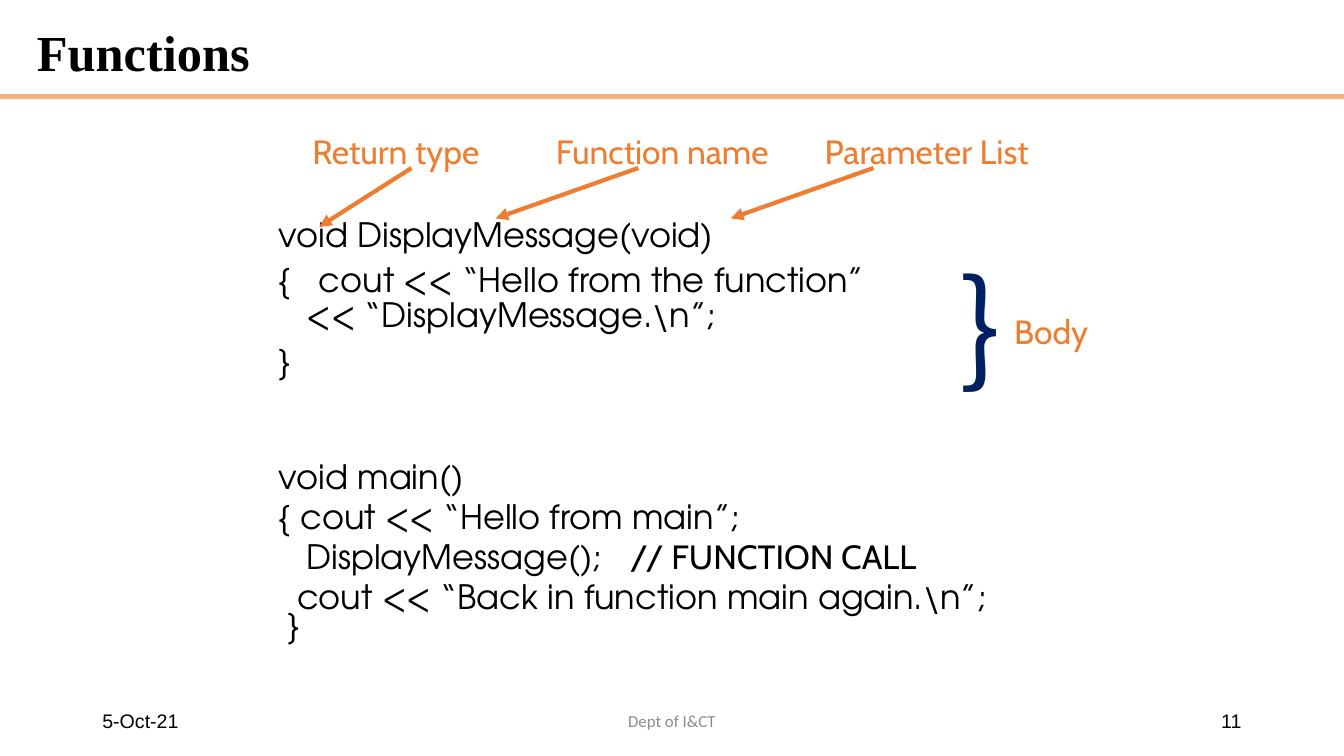
from lxml import etree
from pptx import Presentation
from pptx.dml.color import RGBColor
from pptx.enum.shapes import MSO_CONNECTOR, MSO_SHAPE
from pptx.enum.text import MSO_ANCHOR, MSO_AUTO_SIZE, PP_ALIGN
from pptx.oxml.ns import qn
from pptx.util import Inches, Pt

COLORS = {
    "ink": "000000",
    "accent": "ED7D31",
    "rule": "F4B183",
    "brace": "002060",
    "footer": "8C8C8C",
}
CODE_FONT = "TeX Gyre Adventor"
LABEL_FONT = "Cabin"
CODE_GAP = 8.4

DISPLAY_CODE = [
    "void DisplayMessage(void)",
    "{   cout << “Hello from the function”\v   << “DisplayMessage.\\n”;",
    "}",
]
MAIN_CODE = [
    "void main()",
    "{ cout << “Hello from main”;",
    [("   DisplayMessage();   ", CODE_FONT), ("// FUNCTION CALL", LABEL_FONT)],
    "  cout << “Back in function main again.\\n”;\v }",
]

# label, its place, and the arrow's start and end, in grid units
SIGNATURE_PARTS = [
    ("Return type", (36, 15, 31, 6), (49, 20), (38, 27)),
    ("Function name", (65, 15, 31, 6), (76, 20), (59, 26)),
    ("Parameter List", (97, 15, 33, 6), (104, 20), (87, 26)),
]


def grid(*units):
    """Turn grid units, twelve to the inch, into lengths."""
    return [Inches(unit / 12) for unit in units]


def color(name):
    return RGBColor.from_string(COLORS[name])


def write(frame, paragraphs, font=LABEL_FONT, size=24, ink="ink", bold=False,
          align=PP_ALIGN.LEFT, anchor=MSO_ANCHOR.TOP, spacings=(1,), gap=0,
          inset=0.1):
    """Fill a frame; a paragraph is a string or a list of (text, font) runs."""
    frame.word_wrap = True
    frame.auto_size = MSO_AUTO_SIZE.NONE
    frame.vertical_anchor = anchor
    frame.margin_left = Inches(inset)
    for index, content in enumerate(paragraphs):
        paragraph = frame.paragraphs[0] if index == 0 else frame.add_paragraph()
        paragraph.alignment = align
        paragraph.line_spacing = spacings[min(index, len(spacings) - 1)]
        paragraph.space_before = Pt(gap if index else 0)
        pieces = [(content, font)] if isinstance(content, str) else content
        for words, typeface in pieces:
            for part, line in enumerate(words.split("\v")):
                if part:
                    paragraph.add_line_break()
                run = paragraph.add_run()
                run.text = line
                run.font.name = typeface
                run.font.size = Pt(size)
                run.font.bold = bold
                run.font.color.rgb = color(ink)


def add_text(slide, place, *paragraphs, **style):
    write(slide.shapes.add_textbox(*grid(*place)).text_frame, paragraphs, **style)


def add_arrow(slide, start, end):
    arrow = slide.shapes.add_connector(
        MSO_CONNECTOR.STRAIGHT, *grid(*start), *grid(*end))
    arrow.line.color.rgb = color("accent")
    arrow.line.width = Pt(3)
    etree.SubElement(arrow.line._get_or_add_ln(), qn("a:tailEnd"), type="triangle")
    etree.SubElement(arrow._element.spPr, qn("a:effectLst"))


def add_rule(slide):
    rule = slide.shapes.add_shape(MSO_SHAPE.RECTANGLE, *grid(0, 11.2, 160, 0.6))
    rule.shadow.inherit = False
    rule.fill.solid()
    rule.fill.fore_color.rgb = color("rule")
    rule.line.fill.background()


def add_title(slide, words):
    title = slide.shapes.title
    title.left, title.top, title.width, title.height = grid(3.2, 1.8, 145.8, 9.5)
    write(title.text_frame, [words], font="Times New Roman", size=36, bold=True,
          anchor=MSO_ANCHOR.MIDDLE, spacings=(0.9,))


def add_footer(slide, left, width, words, **style):
    add_text(slide, (left, 83.4, width, 4.8), words,
             anchor=MSO_ANCHOR.MIDDLE, **style)


def main():
    deck = Presentation()
    deck.slide_width, deck.slide_height = grid(160, 90)
    slide = deck.slides.add_slide(deck.slide_layouts[5])

    add_rule(slide)
    add_title(slide, "Functions")
    add_text(slide, (32, 26, 89, 20.6), *DISPLAY_CODE, font=CODE_FONT,
             spacings=(0.75, 0.85), gap=CODE_GAP)
    add_text(slide, (32, 55, 101, 23.3), *MAIN_CODE, font=CODE_FONT,
             spacings=(0.7,), gap=CODE_GAP)

    for label, place, start, end in SIGNATURE_PARTS:
        add_text(slide, place, label, ink="accent")
        add_arrow(slide, start, end)

    add_text(slide, (113, 29, 11, 19), "}", font="Noto Sans CJK JP", size=88,
             ink="brace")
    add_text(slide, (117, 36.4, 16, 6), "Body", ink="accent", inset=0.31)

    add_footer(slide, 11, 36, "5-Oct-21", font="Arial", size=14)
    add_footer(slide, 53, 54, "Dept of I&CT", font="Calibri", size=12,
               ink="footer", align=PP_ALIGN.CENTER)
    add_footer(slide, 113, 36, "11", font="Arial", size=14, align=PP_ALIGN.RIGHT)
    deck.save("out.pptx")


if __name__ == "__main__":
    main()
